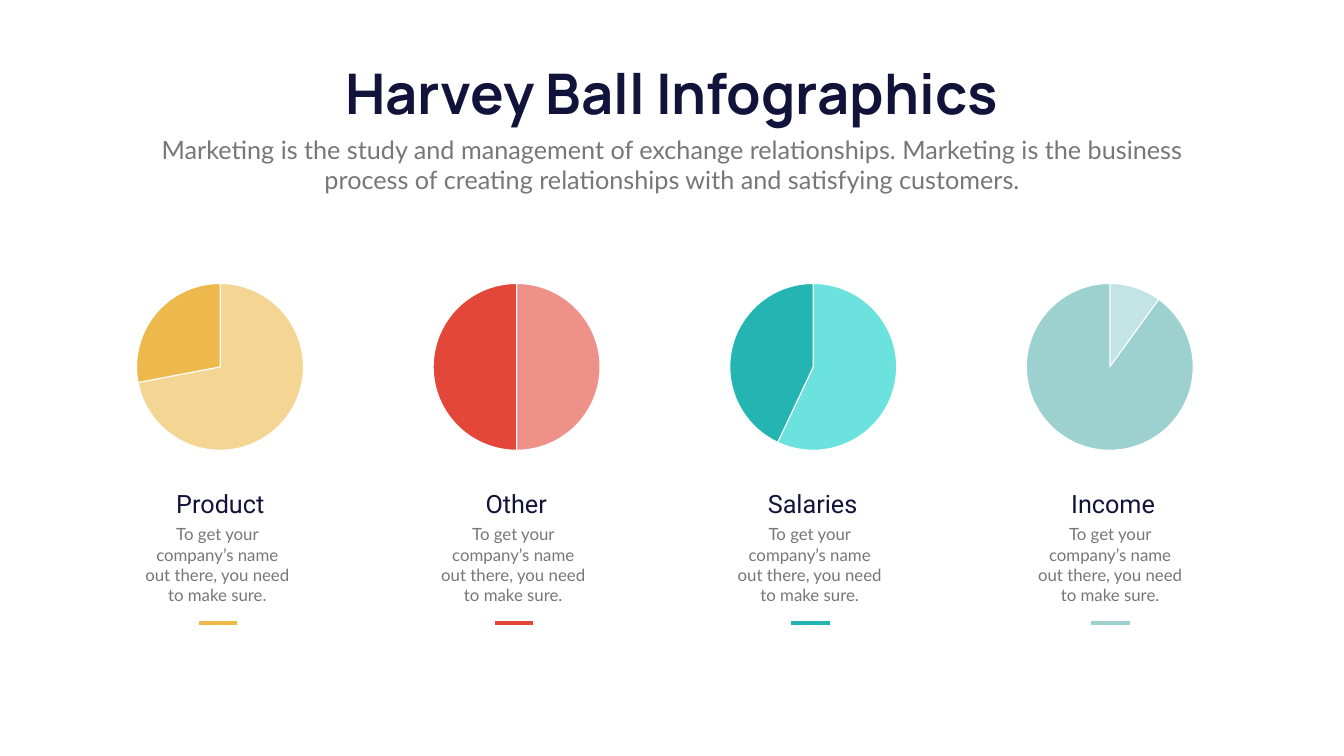
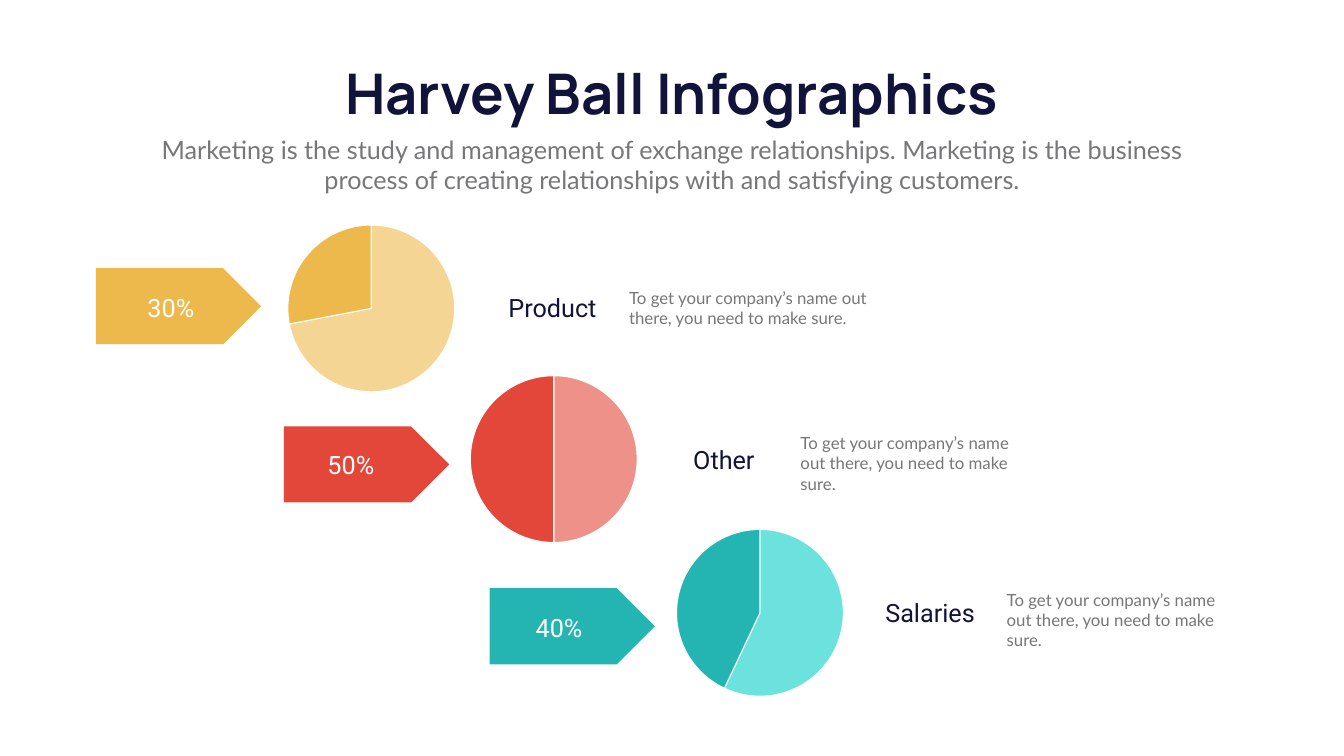
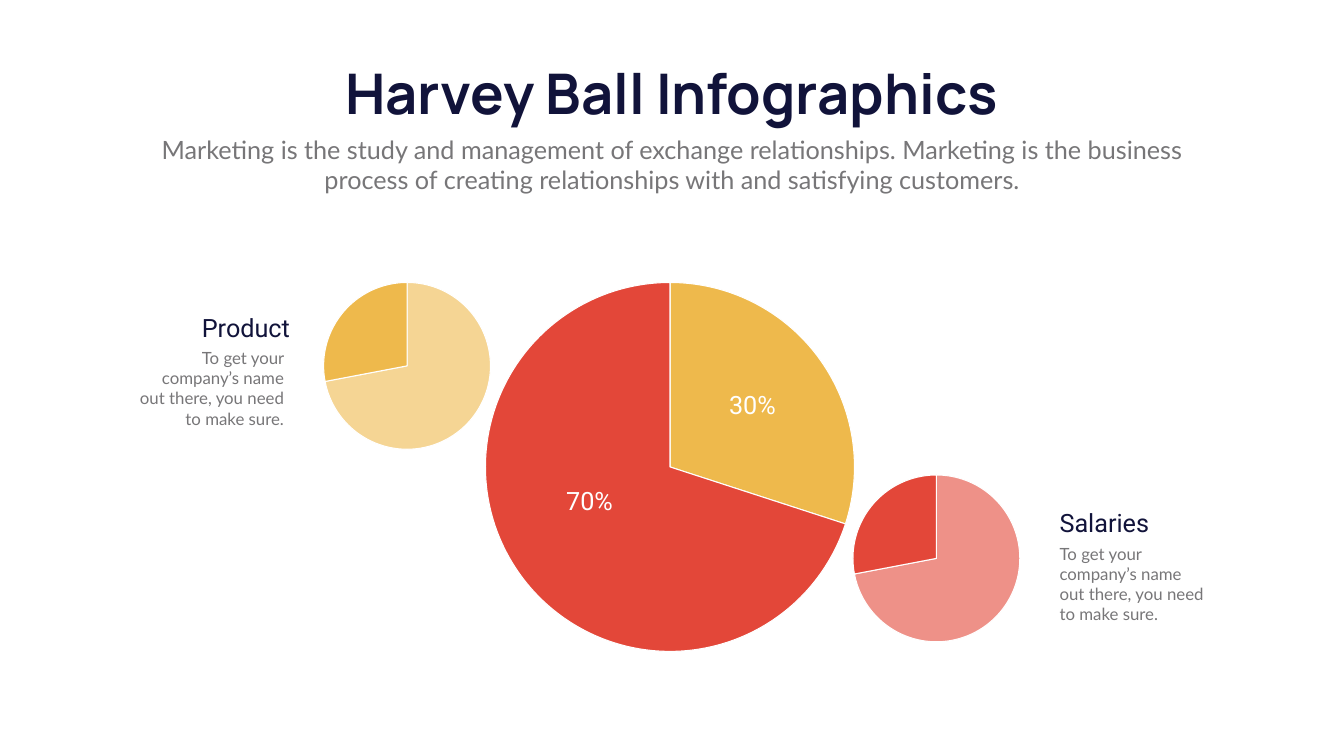
from dataclasses import dataclass

from pptx import Presentation
from pptx.chart.data import CategoryChartData
from pptx.dml.color import RGBColor
from pptx.enum.chart import XL_CHART_TYPE
from pptx.enum.shapes import MSO_CONNECTOR, MSO_SHAPE
from pptx.enum.text import MSO_AUTO_SIZE, PP_ALIGN
from pptx.oxml import parse_xml
from pptx.oxml.ns import nsdecls
from pptx.oxml.xmlchemy import OxmlElement
from pptx.slide import Slide
from pptx.util import Inches, Pt

NAVY = "11133A"
GRAY = "777678"
WHITE = "FFFFFF"
YELLOW, PALE_YELLOW = "EEB94C", "F5D594"
RED, PALE_RED = "E34739", "EE9188"
TEAL, PALE_TEAL = "24B5B2", "6CE2DF"
MIST, PALE_MIST = "9CD1D0", "C4E3E3"

TITLE = "Harvey Ball Infographics"
SUBTITLE = (
    "Marketing is the study and management of exchange relationships. "
    "Marketing is the business process of creating relationships with "
    "and satisfying customers."
)
DETAIL = "To get your company’s name out there, you need to make sure."

BALL_WIDTH, BALL_HEIGHT = 5.39, 3.6
BALL_MARGIN = 0.29
LABEL_WIDTH, LABEL_HEIGHT = 3.26, 0.71
DETAIL_WIDTH = 3.14


@dataclass(frozen=True)
class Ball:
    name: str
    shares: tuple[int, int]
    colors: tuple[str, str]


@dataclass(frozen=True)
class Step:
    ball: Ball
    percent: str
    arrow_at: tuple[float, float]
    percent_at: tuple[float, float]
    ball_at: tuple[float, float]
    label_at: tuple[float, float]
    detail_at: tuple[float, float]
    detail_width: float


PRODUCT = Ball("Product", (72, 28), (PALE_YELLOW, YELLOW))
OTHER = Ball("Other", (50, 50), (PALE_RED, RED))
SALARIES = Ball("Salaries", (57, 43), (PALE_TEAL, TEAL))
INCOME = Ball("Income", (10, 90), (PALE_MIST, MIST))
RED_SALARIES = Ball("Salaries", (72, 28), (PALE_RED, RED))
TOTAL = Ball("Total", (30, 70), (YELLOW, RED))

STEPS = (
    Step(PRODUCT, "30%", (1.9, 5.32), (1.76, 5.75), (4.67, 4.32),
         (9.33, 5.76), (12.38, 5.65), 5.39),
    Step(OTHER, "50%", (5.63, 8.46), (5.33, 8.86), (8.29, 7.31),
         (12.73, 8.76), (15.78, 8.54), 4.91),
    Step(SALARIES, "40%", (9.71, 11.67), (9.46, 12.1), (12.38, 10.36),
         (16.82, 11.81), (19.87, 11.65), 4.91),
)


def rgb(color: str) -> RGBColor:
    return RGBColor.from_string(color)


def add_text(slide: Slide, text: str, left: float, top: float, width: float,
             height: float, *, size: int, font: str, color: str,
             align: PP_ALIGN = PP_ALIGN.CENTER, bold: bool = False,
             wrap: bool = True) -> None:
    box = slide.shapes.add_textbox(
        Inches(left), Inches(top), Inches(width), Inches(height))
    frame = box.text_frame
    frame.word_wrap = wrap
    frame.auto_size = MSO_AUTO_SIZE.SHAPE_TO_FIT_TEXT
    paragraph = frame.paragraphs[0]
    paragraph.alignment = align
    run = paragraph.add_run()
    run.text = text
    run.font.size = Pt(size)
    run.font.name = font
    run.font.bold = bold
    run.font.color.rgb = rgb(color)


def add_label(slide: Slide, text: str, left: float, top: float,
              width: float = LABEL_WIDTH, color: str = NAVY,
              align: PP_ALIGN = PP_ALIGN.CENTER) -> None:
    add_text(slide, text, left, top, width, LABEL_HEIGHT,
             size=36, font="Roboto", color=color, align=align)


def add_detail(slide: Slide, left: float, top: float, width: float,
               height: float, align: PP_ALIGN) -> None:
    add_text(slide, DETAIL, left, top, width, height,
             size=24, font="Lato", color=GRAY, align=align)


def add_caption(slide: Slide, name: str, left: float, top: float,
                align: PP_ALIGN) -> None:
    add_detail(slide, left, top + LABEL_HEIGHT, DETAIL_WIDTH, 1.72, align)
    add_label(slide, name, left, top, align=align)


def add_ball(slide: Slide, ball: Ball, left: float, top: float,
             width: float = BALL_WIDTH, height: float = BALL_HEIGHT) -> None:
    data = CategoryChartData()
    data.categories = ["1", "2"]
    data.add_series("Series 1", ball.shares)
    chart = slide.shapes.add_chart(
        XL_CHART_TYPE.PIE, Inches(left), Inches(top),
        Inches(width), Inches(height), data).chart
    chart.has_title = False
    chart.has_legend = False
    chart.font.name = "Calibri"
    chart.font.size = Pt(10)
    chart.font.color.rgb = rgb(GRAY)
    plot = chart.plots[0]
    plot.vary_by_categories = True
    for index, color in enumerate(ball.colors):
        slice_format = plot.series[0].points[index].format
        slice_format.fill.solid()
        slice_format.fill.fore_color.rgb = rgb(color)
        slice_format.line.color.rgb = rgb(WHITE)
        slice_format.line.width = Pt(1.5)
    set_diameter(chart, height - BALL_MARGIN, width, height)


def set_diameter(chart, diameter: float, width: float, height: float) -> None:
    across, down = diameter / width, diameter / height
    layout = parse_xml(
        f'<c:layout {nsdecls("c")}><c:manualLayout>'
        '<c:layoutTarget val="inner"/>'
        '<c:xMode val="edge"/><c:yMode val="edge"/>'
        f'<c:x val="{(1 - across) / 2:.4f}"/><c:y val="{(1 - down) / 2:.4f}"/>'
        f'<c:w val="{across:.4f}"/><c:h val="{down:.4f}"/>'
        '</c:manualLayout></c:layout>')
    plot_area = chart.element.xpath("c:chart/c:plotArea")[0]
    for automatic in plot_area.xpath("c:layout"):
        plot_area.remove(automatic)
    plot_area.insert(0, layout)


def add_underline(slide: Slide, left: float, top: float, color: str) -> None:
    underline = slide.shapes.add_connector(
        MSO_CONNECTOR.STRAIGHT, Inches(left), Inches(top),
        Inches(left + 0.77), Inches(top))
    underline.line.color.rgb = rgb(color)
    underline.line.width = Pt(6)
    underline.element.spPr.append(OxmlElement("a:effectLst"))


def add_arrow(slide: Slide, left: float, top: float, color: str) -> None:
    arrow = slide.shapes.add_shape(
        MSO_SHAPE.PENTAGON, Inches(left), Inches(top),
        Inches(3.28), Inches(1.51))
    arrow.shadow.inherit = False
    arrow.fill.solid()
    arrow.fill.fore_color.rgb = rgb(color)
    arrow.line.fill.background()


def add_titled_slide(deck) -> Slide:
    slide = deck.slides.add_slide(deck.slide_layouts[6])
    add_text(slide, TITLE, 6.14, 1.12, 14.37, 1.45, size=80,
             font="Manrope", color=NAVY, bold=True, wrap=False)
    add_text(slide, SUBTITLE, 2.92, 2.61, 20.82, 1.31, size=36,
             font="Lato", color=GRAY)
    return slide


def build_columns(deck) -> None:
    slide = add_titled_slide(deck)
    balls = (PRODUCT, OTHER, SALARIES, INCOME)
    caption_lefts = (2.74, 8.61, 14.49, 20.45)
    for column, (ball, caption_left) in enumerate(zip(balls, caption_lefts)):
        add_ball(slide, ball, 1.67 + column * 17.65 / 3, 5.48)
        add_caption(slide, ball.name, caption_left, 9.64, PP_ALIGN.CENTER)
        add_underline(slide, caption_left + 1.2, 12.36, ball.colors[1])


def build_staircase(deck) -> None:
    slide = add_titled_slide(deck)
    for step in STEPS:
        add_arrow(slide, *step.arrow_at, step.ball.colors[1])
        add_ball(slide, step.ball, *step.ball_at)
        add_detail(slide, *step.detail_at, step.detail_width, 0.91,
                   PP_ALIGN.LEFT)
        add_label(slide, step.ball.name, *step.label_at)
        add_label(slide, step.percent, *step.percent_at, color=WHITE)


def build_breakdown(deck) -> None:
    slide = add_titled_slide(deck)
    add_ball(slide, TOTAL, 7.58, 5.46, 11.42, 7.61)
    add_ball(slide, PRODUCT, 5.38, 5.46)
    add_ball(slide, RED_SALARIES, 15.88, 9.28)
    add_caption(slide, PRODUCT.name, 2.59, 6.14, PP_ALIGN.RIGHT)
    add_caption(slide, RED_SALARIES.name, 20.92, 10.02, PP_ALIGN.LEFT)
    add_label(slide, "70%", 10.95, 9.58, width=1.49, color=WHITE)
    add_label(slide, "30%", 14.18, 7.68, width=1.49, color=WHITE)


def main() -> None:
    deck = Presentation()
    deck.slide_width = Inches(26.66)
    deck.slide_height = Inches(15)
    build_columns(deck)
    build_staircase(deck)
    build_breakdown(deck)
    deck.save("out.pptx")


if __name__ == "__main__":
    main()
